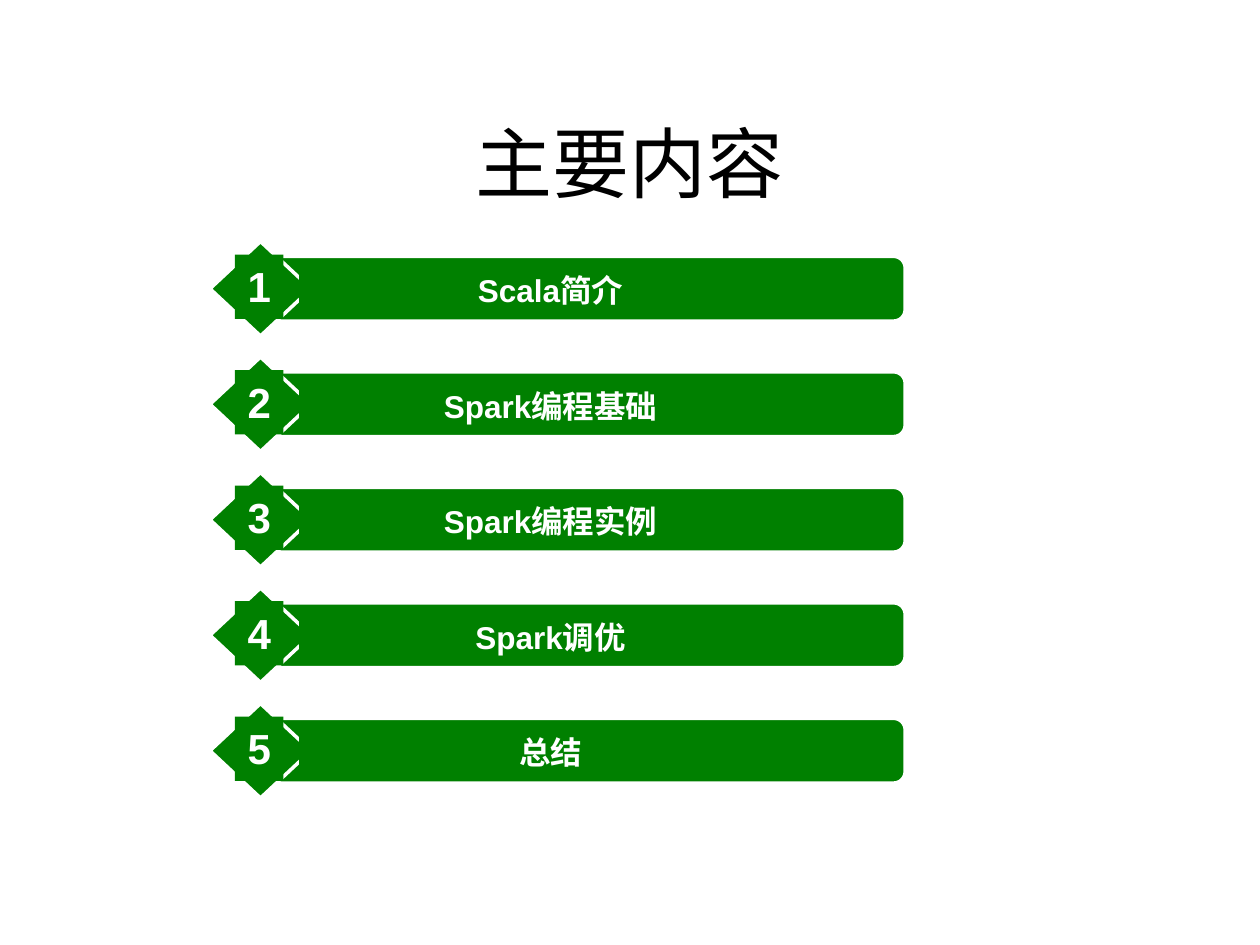
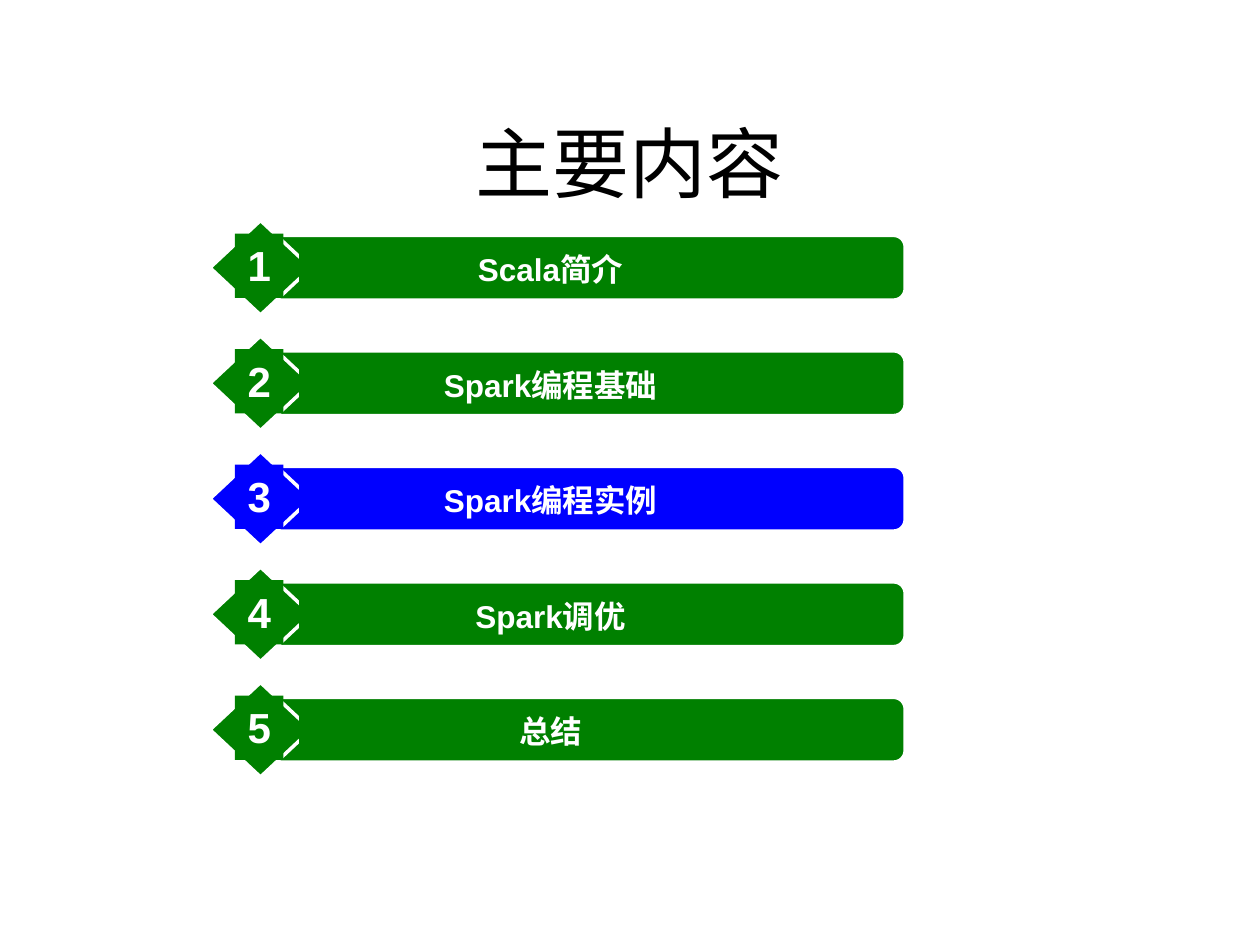
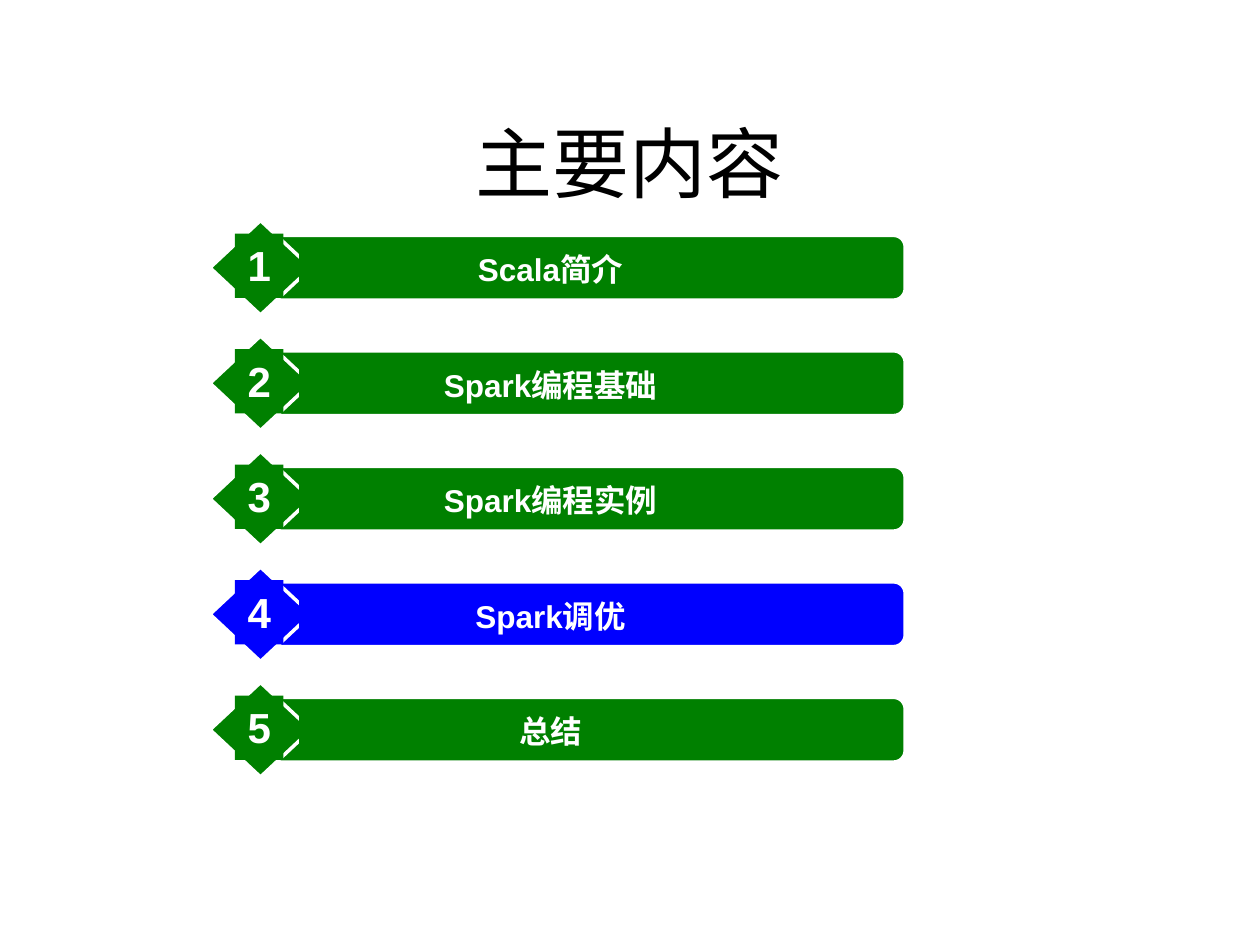
from pptx import Presentation
from pptx import util as u
from pptx.dml.color import RGBColor
from pptx.enum import shapes, text

PX = 9525  # EMU per px, 96 px to the inch
COLORS = {
    "topic": "008000",
    "current": "0000FF",
    "light": "FFFFFF",
    "title": "000000",
}
FONT = "Arial"
TITLE = "主要内容"
TOPICS = ["Scala简介", "Spark编程基础", "Spark编程实例", "Spark调优", "总结"]
AGENDAS = [(184, None), (168, 3), (168, 4)]  # top of the list, current topic
PITCH = 88


def add_block(group, kind, box, fill, line_width=None):
    shape = group.shapes.add_shape(kind, *[px * PX for px in box])
    shape.shadow.inherit = False
    shape.fill.solid()
    shape.fill.fore_color.rgb = RGBColor.from_string(COLORS[fill])
    if line_width:
        shape.line.color.rgb = RGBColor.from_string(COLORS["light"])
        shape.line.width = u.Pt(line_width)
    else:
        shape.line.fill.background()
    return shape


def write(shape, words, size, color, bold):
    paragraph = shape.text_frame.paragraphs[0]
    paragraph.alignment = text.PP_ALIGN.CENTER
    run = paragraph.add_run()
    run.text = words
    run.font.name = FONT
    run.font.size = u.Pt(size)
    run.font.bold = bold
    run.font.color.rgb = RGBColor.from_string(COLORS[color])


presentation = Presentation()
presentation.slide_width = 960 * PX
presentation.slide_height = 720 * PX
title_only = presentation.slide_layouts.get_by_name("Title Only")

for list_top, current in AGENDAS:
    slide = presentation.slides.add_slide(title_only)
    title = slide.shapes.title
    title.left, title.top, title.width, title.height = [px * PX for px in (48, 87, 864, 72)]
    title.text_frame.vertical_anchor = text.MSO_ANCHOR.MIDDLE
    write(title, TITLE, 44, "title", False)

    for number, topic in enumerate(TOPICS, start=1):
        top = list_top + (number - 1) * PITCH
        fill = "current" if number == current else "topic"
        group = slide.shapes.add_group_shape()

        bar = add_block(group, shapes.MSO_SHAPE.ROUNDED_RECTANGLE, (203, top + 12, 486, 48), fill, 1)
        bar.adjustments[0] = 0.17
        add_block(group, shapes.MSO_SHAPE.DIAMOND, (160, top, 77, 72), fill, 2)

        label = add_block(group, shapes.MSO_SHAPE.RECTANGLE, (228, top + 18, 383, 38), fill)
        badge = add_block(group, shapes.MSO_SHAPE.RECTANGLE, (179, top + 10, 37, 49), fill)
        for shape, words, size in ((label, topic, 18), (badge, str(number), 24)):
            frame = shape.text_frame
            frame.word_wrap = shape is label
            frame.auto_size = text.MSO_AUTO_SIZE.SHAPE_TO_FIT_TEXT
            frame.vertical_anchor = text.MSO_ANCHOR.TOP
            write(shape, words, size, "light", True)

presentation.save("out.pptx")
